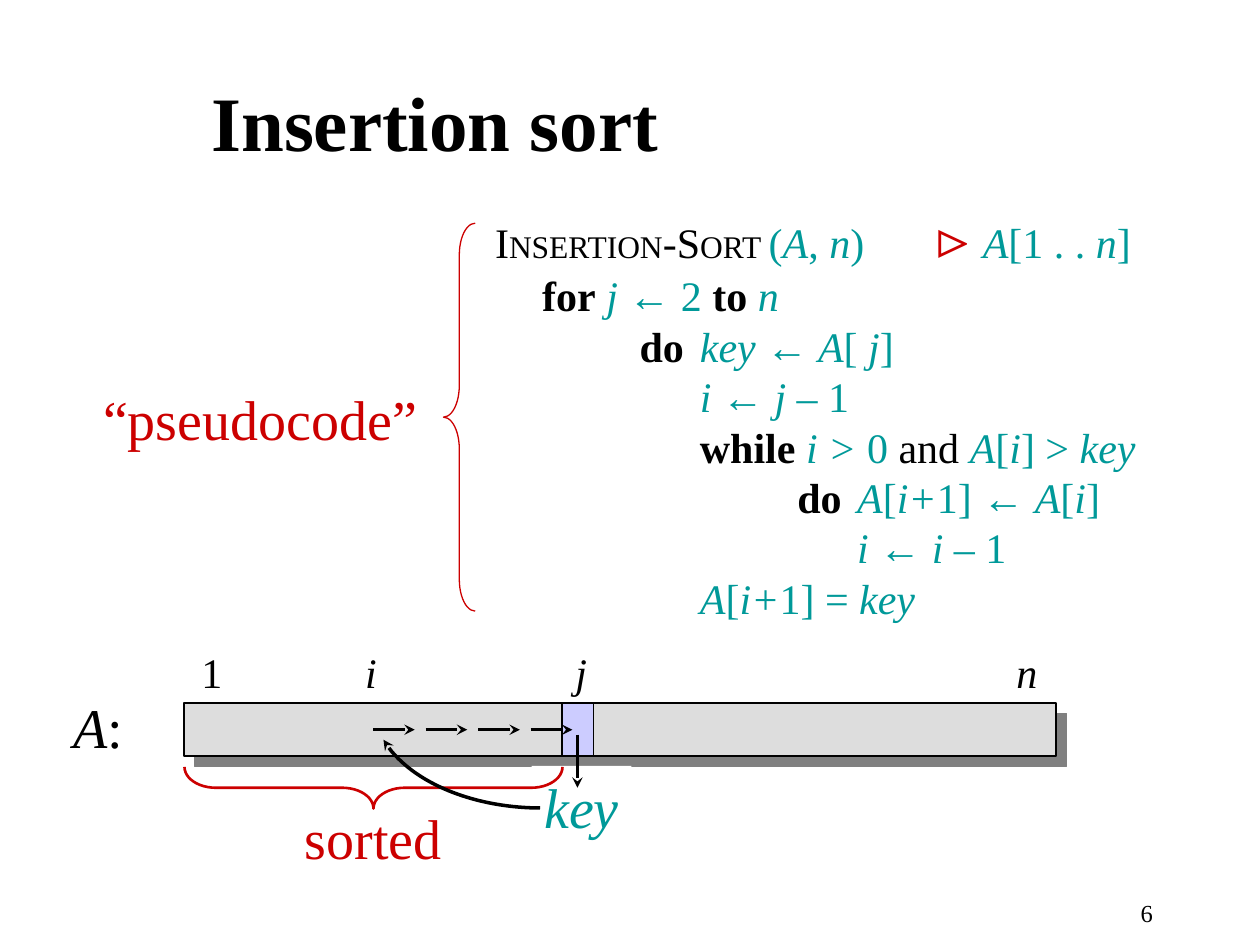
"""Build a slide explaining insertion sort with pseudocode and an array diagram."""
from typing import NamedTuple, Sequence

from lxml import etree
from pptx import Presentation
from pptx import util as u
from pptx.dml.color import RGBColor
from pptx.enum import shapes, text
from pptx.oxml import ns

FONT = "Times New Roman"
BLACK, RED, TEAL, WHITE = "000000", "CC0000", "009999", "FFFFFF"
LEFT, CENTER, RIGHT = text.PP_ALIGN.LEFT, text.PP_ALIGN.CENTER, text.PP_ALIGN.RIGHT


class Piece(NamedTuple):
    words: str
    color: str = BLACK
    size: float = 24
    bold: bool = False
    italic: bool = False


class Box(NamedTuple):
    left: float
    top: float
    width: float
    height: float


class Label(NamedTuple):
    box: Box
    pieces: Sequence[Piece]
    align: text.PP_ALIGN = LEFT
    wrap: bool = False
    anchor: text.MSO_ANCHOR = text.MSO_ANCHOR.TOP


class Arrow(NamedTuple):
    x1: float
    y1: float
    x2: float
    y2: float


def rgb(code: str) -> RGBColor:
    return RGBColor.from_string(code)


def plain(words: str, size: float = 24) -> Piece:
    return Piece(words, size=size)


def keyword(words: str) -> Piece:
    return Piece(words, bold=True)


def var(words: str, color: str = TEAL, size: float = 24) -> Piece:
    return Piece(words, color, size, italic=True)


def num(words: str) -> Piece:
    return Piece(words, TEAL)


def write(paragraph, pieces: Sequence[Piece]) -> None:
    for piece in pieces:
        run = paragraph.add_run()
        run.text = piece.words
        run.font.name = FONT
        run.font.size = u.Pt(piece.size)
        run.font.bold, run.font.italic = piece.bold, piece.italic
        run.font.color.rgb = rgb(piece.color)


def add_label(slide, label: Label):
    field = slide.shapes.add_textbox(*map(u.Cm, label.box))
    frame = field.text_frame
    frame.word_wrap = label.wrap
    if not label.wrap:
        frame.auto_size = text.MSO_AUTO_SIZE.SHAPE_TO_FIT_TEXT
    frame.vertical_anchor = label.anchor
    frame.paragraphs[0].alignment = label.align
    write(frame.paragraphs[0], label.pieces)
    return field


def add_code(slide, box: Box, lines, stops) -> None:
    frame = slide.shapes.add_textbox(*map(u.Cm, box)).text_frame
    frame.word_wrap = True
    for index, pieces in enumerate(lines):
        paragraph = frame.add_paragraph() if index else frame.paragraphs[0]
        tabs = etree.SubElement(paragraph._p.get_or_add_pPr(), ns.qn("a:tabLst"))
        for position, side in stops:
            etree.SubElement(tabs, ns.qn("a:tab"), pos=str(u.Cm(position)), algn=side)
        write(paragraph, pieces)


def add_outline(slide, kind, box: Box, color: str, weight: float, fill: str = ""):
    outline = slide.shapes.add_shape(kind, *map(u.Cm, box))
    outline.shadow.inherit = False
    if fill:
        outline.fill.solid()
        outline.fill.fore_color.rgb = rgb(fill)
    else:
        outline.fill.background()
    outline.line.color.rgb = rgb(color)
    outline.line.width = u.Pt(weight)
    return outline


def add_head(stroke) -> None:
    etree.SubElement(stroke.line._get_or_add_ln(), ns.qn("a:tailEnd"), type="stealth")


def drop_shadow(bar, color: str) -> None:
    effects = bar._element.spPr.find(ns.qn("a:effectLst"))
    shade = etree.SubElement(effects, ns.qn("a:outerShdw"), dist=str(u.Pt(8.5)),
                             dir="2700000", algn="ctr", rotWithShape="0")
    etree.SubElement(shade, ns.qn("a:srgbClr"), val=color)


def add_arrow(slide, arrow: Arrow) -> None:
    stroke = slide.shapes.add_connector(shapes.MSO_CONNECTOR.STRAIGHT, *map(u.Cm, arrow))
    stroke.line.color.rgb = rgb(BLACK)
    stroke.line.width = u.Pt(2)
    add_head(stroke)
    etree.SubElement(stroke._element.spPr, ns.qn("a:effectLst"))


TABS = [(0.95, "l"), (3.81, "r"), (4.13, "l"), (6.99, "r"),
        (7.3, "l"), (8.89, "l"), (10.16, "l")]
CODE = [
    [plain("I"), plain("NSERTION", 18), plain("-S"), plain("ORT ", 18), num("("),
     var("A"), num(", "), var("n"), num(")\t"), Piece("⊳ ", RED, 32),
     var("A"), num("[1 . . "), var("n"), num("]")],
    [plain("\t"), keyword("for\t "), var("j "), num("← 2 "), keyword("to "), var("n")],
    [plain("\t\t"), keyword("do\t"), var("key ← A"), num("[ "), var("j"), num("]")],
    [plain("\t\t\t"), var("i ← j – "), num("1")],
    [plain("\t\t\t"), keyword("while\t "), var("i > "), num("0"), plain(" and "),
     var("A"), num("["), var("i"), num("] > "), var("key")],
    [plain("\t\t\t\t"), keyword("do\t"), var("A"), num("["), var("i+"), num("1] ← "),
     var("A"), num("["), var("i"), num("]")],
    [plain("\t\t\t\t\t"), var("i ← i – "), num("1")],
    [plain("\t\t\t"), var("A"), num("["), var("i+"), num("1] = "), var("key")],
]
INDEX_TOP, INDEX_HEIGHT, WORD_HEIGHT = 12.9, 1.27, 1.63
LABELS = [
    Label(Box(4.01, 0.84, 20.96, 3.18), [Piece("Insertion sort", size=44, bold=True)],
          wrap=True, anchor=text.MSO_ANCHOR.MIDDLE),
    Label(Box(1.83, 7.62, 7.1, WORD_HEIGHT), [Piece("“pseudocode”", RED, 32)], wrap=True),
    Label(Box(3.81, INDEX_TOP, 0.91, INDEX_HEIGHT), [plain("1")]),
    Label(Box(7.11, INDEX_TOP, 0.74, INDEX_HEIGHT), [var("i", BLACK)]),
    Label(Box(11.35, INDEX_TOP, 0.74, INDEX_HEIGHT), [var("j", BLACK)]),
    Label(Box(20.24, INDEX_TOP, 0.91, INDEX_HEIGHT), [var("n", BLACK)]),
    Label(Box(1.09, 13.84, 1.8, WORD_HEIGHT),
          [var("A", BLACK, 32), plain(":", 32)], CENTER, True),
    Label(Box(5.89, 16.08, 3.28, WORD_HEIGHT), [Piece("sorted", RED, 32)], CENTER),
    Label(Box(18.21, 17.98, 5.28, 0.64), [plain("6", 14)], RIGHT, True),
]
KEY = Label(Box(10.72, 15.44, 2.01, WORD_HEIGHT), [var("key", size=32)], CENTER)
SHIFTS = [Arrow(7.52 + 1.06 * k, 14.71, 8.36 + 1.06 * k, 14.71) for k in range(4)]


def build() -> None:
    deck = Presentation()
    deck.slide_width, deck.slide_height = u.Cm(25.4), u.Cm(19.05)
    slide = deck.slides.add_slide(deck.slide_layouts[6])
    kinds = shapes.MSO_SHAPE

    add_code(slide, Box(9.73, 3.96, 15.75, 8.74), CODE, TABS)
    code_brace = add_outline(slide, kinds.LEFT_BRACE, Box(8.94, 4.5, 0.64, 7.82), RED, 0.75)
    code_brace.adjustments[0] = 1.0

    array = add_outline(slide, kinds.RECTANGLE, Box(3.71, 14.17, 17.58, 1.07),
                        BLACK, 0.75, "DDDDDD")
    drop_shadow(array, "808080")
    add_outline(slide, kinds.RECTANGLE, Box(11.33, 14.17, 0.64, 1.07), BLACK, 0.75, "CCCCFF")

    key = add_label(slide, KEY)
    key.fill.solid()
    key.fill.fore_color.rgb = rgb(WHITE)
    for arrow in [*SHIFTS, Arrow(11.64, 14.81, 11.64, 15.88)]:
        add_arrow(slide, arrow)

    sorted_brace = add_outline(slide, kinds.LEFT_BRACE, Box(7.11, 12.07, 0.84, 7.62), RED, 1.5)
    sorted_brace.adjustments[0] = 0.75
    sorted_brace.rotation = 270
    insertion = add_outline(slide, kinds.ARC, Box(7.52, 12.07, 6.78, 4.22), BLACK, 2)
    for index, degrees in enumerate((90.6, 167)):
        insertion.adjustments[index] = degrees * 0.6
    add_head(insertion)

    for label in LABELS:
        add_label(slide, label)
    deck.save("out.pptx")


build()
